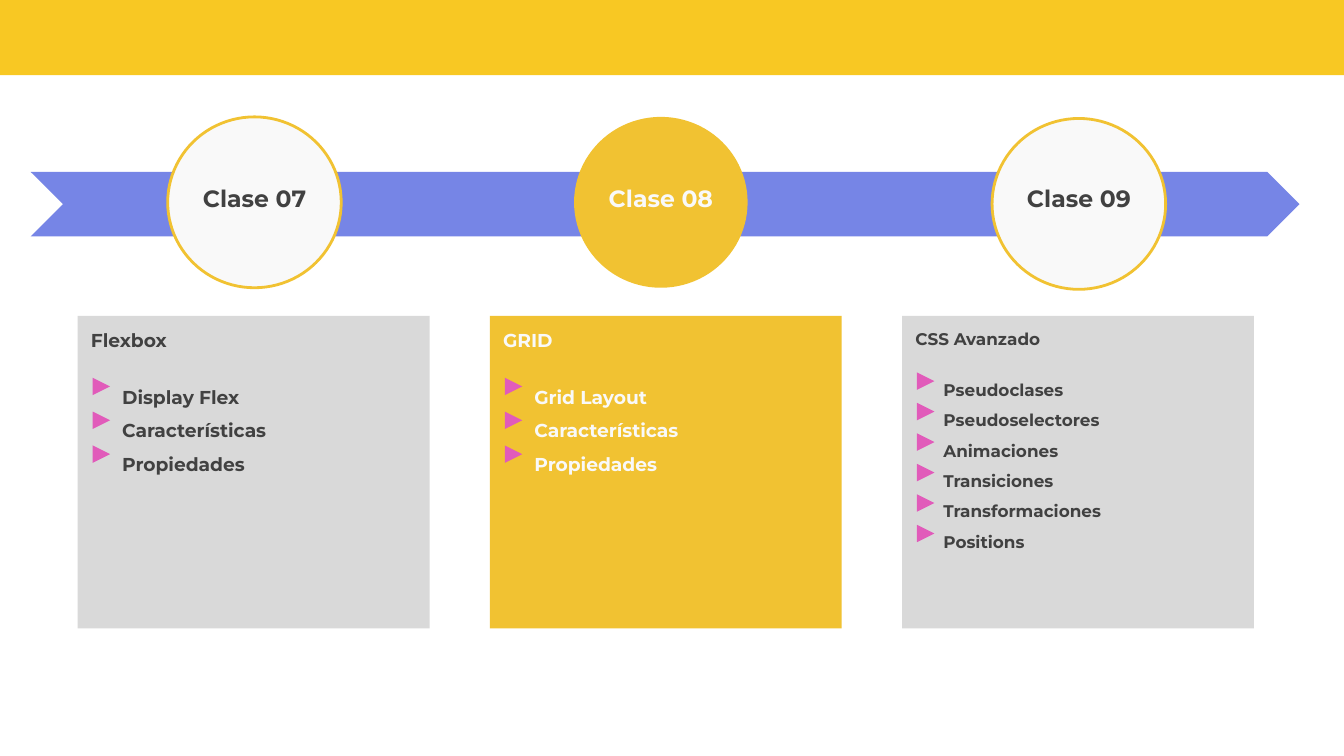
from dataclasses import dataclass

from pptx import Presentation
from pptx.dml.color import RGBColor
from pptx.enum.shapes import MSO_SHAPE
from pptx.enum.text import MSO_ANCHOR, MSO_AUTO_SIZE, PP_ALIGN
from pptx.util import Cm, Pt


@dataclass(frozen=True)
class Theme:
    font: str = "Montserrat"
    banner: str = "F8C823"
    arrow: str = "7685E6"
    current: str = "F1C232"
    light: str = "F9F9F9"
    panel: str = "D9D9D9"
    dark: str = "414141"
    marker: str = "E15BBA"
    label_size: float = 12.6
    topic_size: float = 10
    dense_size: float = 9


THEME = Theme()

CLASSES = [
    ("Clase 07", 3.17, 2.21, "Flexbox", THEME.topic_size,
     ["Display Flex", "Características", "Propiedades"]),
    ("Clase 08", 10.85, 2.21, "GRID", THEME.topic_size,
     ["Grid Layout", "Características", "Propiedades"]),
    ("Clase 09", 18.75, 2.24, "CSS Avanzado", THEME.dense_size,
     ["Pseudoclases", "Pseudoselectores", "Animaciones",
      "Transiciones", "Transformaciones", "Positions"]),
]
CURRENT = "Clase 08"
CIRCLE_WIDTH, CIRCLE_HEIGHT = 3.28, 3.23
LABEL_WIDTH, LABEL_HEIGHT, LABEL_TOP = 3.02, 0.84, 3.23
PANEL_LEFT, PANEL_TOP, PANEL_PITCH = 1.47, 5.97, 7.79
PANEL_WIDTH, PANEL_HEIGHT = 6.65, 5.91
MARKER_SIDE = 0.33


def add_block(slide, preset, left, top, width, height, fill, line=None):
    block = slide.shapes.add_shape(preset, Cm(left), Cm(top), Cm(width), Cm(height))
    block.shadow.inherit = False
    block.fill.solid()
    block.fill.fore_color.rgb = RGBColor.from_string(fill)
    if line:
        block.line.color.rgb = RGBColor.from_string(line)
        block.line.width = Pt(1.5)
    else:
        block.line.fill.background()
    return block


def prepare_frame(frame):
    frame.word_wrap = True
    frame.auto_size = MSO_AUTO_SIZE.NONE
    frame.vertical_anchor = MSO_ANCHOR.TOP
    frame.margin_left = frame.margin_right = Cm(0.25)
    frame.margin_top = frame.margin_bottom = Cm(0.25)


def write(paragraph, text, size, color, align=PP_ALIGN.LEFT, spacing=1.0):
    paragraph.alignment = align
    paragraph.line_spacing = spacing
    paragraph.space_before = Pt(0)
    run = paragraph.add_run()
    run.text = text
    run.font.name = THEME.font
    run.font.size = Pt(size)
    run.font.bold = True
    run.font.color.rgb = RGBColor.from_string(color)


def add_label(slide, text, center, color):
    place = (Cm(center - LABEL_WIDTH / 2), Cm(LABEL_TOP), Cm(LABEL_WIDTH), Cm(LABEL_HEIGHT))
    if text == CURRENT:
        label = slide.shapes.title
        label.left, label.top, label.width, label.height = place
        slide.shapes._spTree.append(label._element)
    else:
        label = slide.shapes.add_textbox(*place)
    prepare_frame(label.text_frame)
    write(label.text_frame.paragraphs[0], text, THEME.label_size, color, PP_ALIGN.CENTER)


def add_milestone(slide, name, left, top, fill, color):
    add_block(slide, MSO_SHAPE.OVAL, left, top, CIRCLE_WIDTH, CIRCLE_HEIGHT, fill,
              None if name == CURRENT else THEME.current)
    add_label(slide, name, left + CIRCLE_WIDTH / 2, color)


def add_panel(slide, left, heading, topics, size, fill, color):
    panel = add_block(slide, MSO_SHAPE.RECTANGLE, left, PANEL_TOP,
                      PANEL_WIDTH, PANEL_HEIGHT, fill)
    frame = panel.text_frame
    prepare_frame(frame)
    write(frame.paragraphs[0], heading, size, color)
    frame.paragraphs[0].space_after = Pt(1.22 * size)
    for row, topic in enumerate(topics):
        paragraph = frame.add_paragraph()
        paragraph._p.get_or_add_pPr().set("marL", str(Cm(0.059 * size)))
        write(paragraph, topic, size, color, spacing=1.5)
        marker = add_block(slide, MSO_SHAPE.ISOSCELES_TRIANGLE, left + 0.28,
                           PANEL_TOP + 0.17 + size * (0.1 + 0.064 * row),
                           MARKER_SIDE, MARKER_SIDE, THEME.marker)
        marker.rotation = 90


def main():
    deck = Presentation()
    deck.slide_width, deck.slide_height = Cm(25.4), Cm(14.29)
    slide = deck.slides.add_slide(deck.slide_layouts[5])
    add_block(slide, MSO_SHAPE.RECTANGLE, 0, 0, 25.4, 1.42, THEME.banner)
    add_block(slide, MSO_SHAPE.CHEVRON, 0.58, 3.25, 23.98, 1.22, THEME.arrow)
    for column, (name, left, top, heading, size, topics) in enumerate(CLASSES):
        current = name == CURRENT
        color = THEME.light if current else THEME.dark
        add_milestone(slide, name, left, top,
                      THEME.current if current else THEME.light, color)
        add_panel(slide, PANEL_LEFT + column * PANEL_PITCH, heading, topics, size,
                  THEME.current if current else THEME.panel, color)
    deck.save("out.pptx")


if __name__ == "__main__":
    main()
